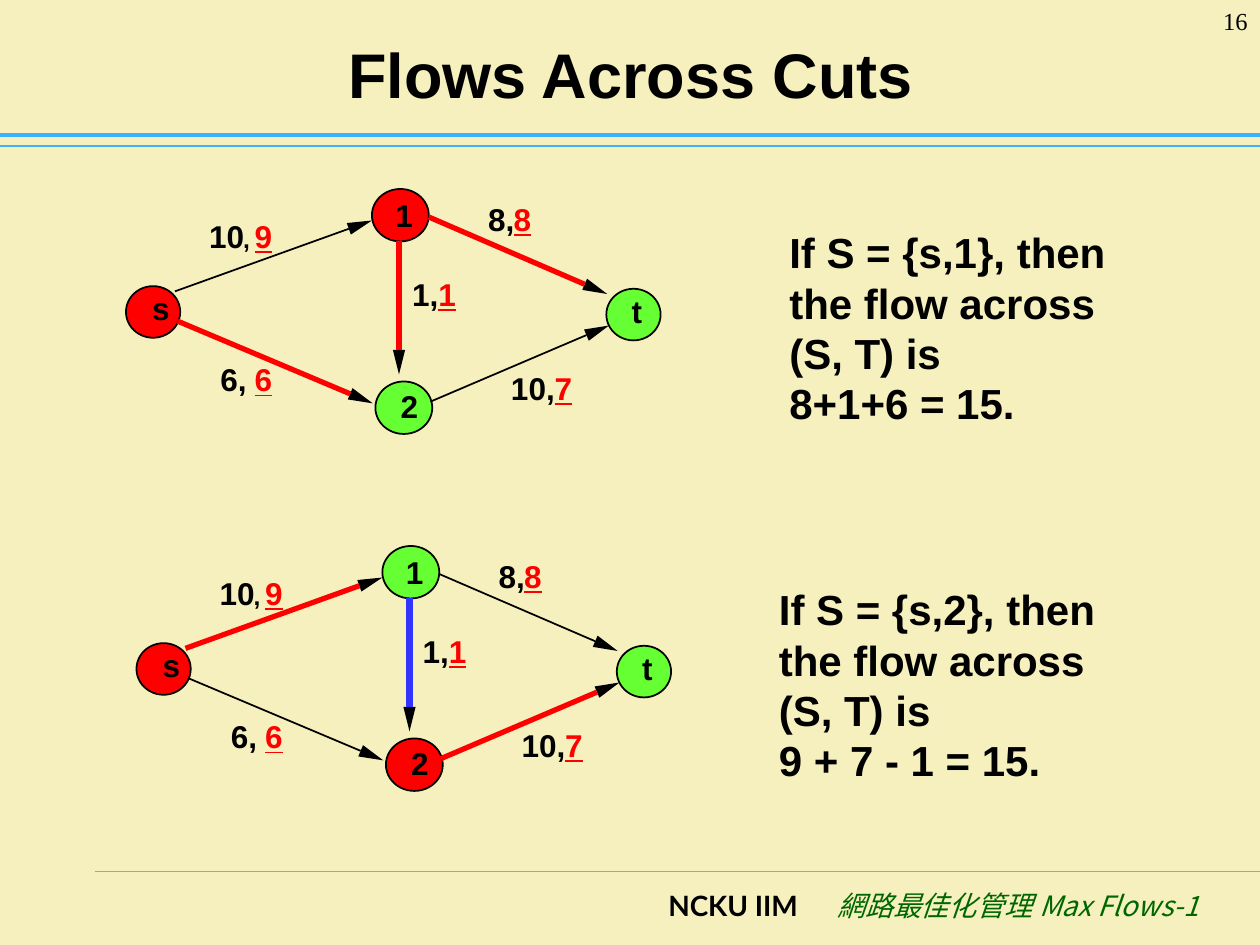
from math import hypot

from lxml.etree import SubElement
from pptx import Presentation
from pptx.dml.color import RGBColor
from pptx.enum.shapes import MSO_CONNECTOR, MSO_SHAPE
from pptx.enum.text import MSO_ANCHOR, PP_ALIGN
from pptx.oxml.ns import qn
from pptx.util import Pt

COLORS = {
    "background": "F5F0BD",
    "ink": "000000",
    "source side": "FF0000",
    "sink side": "66FF33",
    "forward": "FF0000",
    "backward": "3333FF",
    "flow": "FF0000",
    "header rule": "3DB0FF",
    "footer rule": "33CCFF",
    "course": "006600",
}
NODES = {
    "s": (72, 163.5, 31, 29.5, 87, 165),
    "1": (212.5, 108, 32.5, 30, 226, 112),
    "2": (214.5, 218, 32.5, 30, 229, 221),
    "t": (346.5, 165, 31, 29.5, 361, 167),
}
EDGES = {
    "s1": ((100, 166.5), (212.5, 126)),
    "s2": ((101.5, 183.5), (213, 230.5)),
    "1t": ((245, 124), (347, 168)),
    "2t": ((246, 229.5), (348, 186)),
    "12": ((228, 137.5), (228, 214)),
}
CAPACITIES = [
    ("8,", "8", 279, 293.5, 114.5),
    ("1,", "1", 235.5, 250.5, 157),
    ("10,", "7", 292, 317, 211),
    ("6, ", "6", 126, 145.5, 206),
    ("10", "9", 119.5, 145.5, 124),
]
HEAD_LENGTH = 14
HEAD_HALF_WIDTH = 3.5


def rgb(role):
    return RGBColor.from_string(COLORS[role])


def format_runs(paragraph, size, color="ink", font="Arial", bold=True, italic=False, underline=False):
    for run in paragraph.runs:
        run.font.name = font
        run.font.size = Pt(size)
        run.font.bold = bold
        run.font.italic = italic
        run.font.underline = underline
        run.font.color.rgb = rgb(color)
        SubElement(run.font._element, qn("a:ea")).set("typeface", font)


def add_text(slide, text, left, top, width, height, size, align=PP_ALIGN.LEFT, **style):
    box = slide.shapes.add_textbox(Pt(left), Pt(top), Pt(width), Pt(height))
    box.text_frame.word_wrap = True
    box.text_frame.text = text
    paragraph = box.text_frame.paragraphs[0]
    paragraph.alignment = align
    format_runs(paragraph, size, **style)
    return box


def add_mark(slide, text, left, top, size=18, **style):
    width = sum(10 if character in "s0126789" else 6 for character in text)
    mark = add_text(slide, text, left, top, width, size * 1.2, size, **style)
    frame = mark.text_frame
    frame.word_wrap = False
    frame.margin_left = frame.margin_right = frame.margin_top = frame.margin_bottom = 0


def add_line(slide, start, end, color, width):
    line = slide.shapes.add_connector(MSO_CONNECTOR.STRAIGHT, *map(Pt, (*start, *end)))
    line.line.color.rgb = rgb(color)
    line.line.width = Pt(width)
    SubElement(line._element.spPr, qn("a:effectLst"))


def add_edge(slide, start, tip, color, width):
    length = hypot(tip[0] - start[0], tip[1] - start[1])
    ux, uy = (tip[0] - start[0]) / length, (tip[1] - start[1]) / length
    base = (tip[0] - HEAD_LENGTH * ux, tip[1] - HEAD_LENGTH * uy)
    dx, dy = -HEAD_HALF_WIDTH * uy, HEAD_HALF_WIDTH * ux
    corners = [(base[0] + dx, base[1] + dy), (base[0] - dx, base[1] - dy)]
    builder = slide.shapes.build_freeform(Pt(tip[0]), Pt(tip[1]))
    builder.add_line_segments([(Pt(x), Pt(y)) for x, y in corners], close=True)
    head = builder.convert_to_shape()
    head.shadow.inherit = False
    head.fill.solid()
    head.fill.fore_color.rgb = rgb("ink")
    head.line.fill.background()
    add_line(slide, start, base, color, width)


def add_node(slide, name, color, dx, dy):
    left, top, width, height, label_left, label_top = NODES[name]
    node = slide.shapes.add_shape(
        MSO_SHAPE.OVAL, Pt(left + dx), Pt(top + dy), Pt(width), Pt(height))
    node.shadow.inherit = False
    node.fill.solid()
    node.fill.fore_color.rgb = rgb(color)
    node.line.color.rgb = rgb("ink")
    node.line.width = Pt(1)
    add_mark(slide, name, label_left + dx, label_top + dy)


def add_network(slide, source_side, crossing, dx=0, dy=0):
    for name in NODES:
        add_node(slide, name, "source side" if name in source_side else "sink side", dx, dy)
    for edge, (start, tip) in EDGES.items():
        color, width = crossing.get(edge, ("ink", 1))
        add_edge(slide, (start[0] + dx, start[1] + dy), (tip[0] + dx, tip[1] + dy), color, width)
    for capacity, flow, left, flow_left, top in CAPACITIES:
        add_mark(slide, capacity, left + dx, top + dy)
        add_mark(slide, flow, flow_left + dx, top + dy, color="flow", underline=True)
    add_mark(slide, ",", 139 + dx, 128 + dy, size=14)


def add_title(slide, text):
    title = slide.shapes.title
    title.left, title.top, title.width, title.height = Pt(36.5), Pt(9.5), Pt(648), Pt(65)
    title.text_frame.text = text
    title.text_frame.vertical_anchor = MSO_ANCHOR.MIDDLE
    title.text_frame.paragraphs[0].alignment = PP_ALIGN.CENTER
    format_runs(title.text_frame.paragraphs[0], 36)


def main():
    deck = Presentation()
    deck.slide_width, deck.slide_height = Pt(720), Pt(540)
    slide = deck.slides.add_slide(deck.slide_layouts[5])
    slide.background.fill.solid()
    slide.background.fill.fore_color.rgb = rgb("background")

    add_line(slide, (54, 498), (720, 498), "footer rule", 0.75)
    add_line(slide, (0, 83.5), (720, 83.5), "header rule", 0.75)
    add_line(slide, (0, 77), (720, 77), "header rule", 2.5)
    add_text(slide, "NCKU IIM", 342, 504, 121, 36, 16, PP_ALIGN.RIGHT, font="Lato")
    add_text(slide, "網路最佳化管理 Max Flows-1", 452, 504, 240, 36, 16, PP_ALIGN.RIGHT,
             color="course", font="Noto Sans CJK SC", bold=False, italic=True)
    add_title(slide, "Flows Across Cuts")

    forward, backward = ("forward", 3), ("backward", 4.5)
    add_network(slide, "s1", {"s2": forward, "1t": forward, "12": forward})
    add_network(slide, "s2", {"s1": forward, "2t": forward, "12": backward}, 6, 204)
    add_text(slide, "If S = {s,1}, then the flow across (S, T) is \v8+1+6 = 15.",
             444, 126, 216, 122.5, 24)
    add_text(slide, "If S = {s,2}, then the flow across (S, T) is \v9 + 7 - 1 = 15.",
             438, 330, 210, 122.5, 24)
    add_text(slide, "16", 660, 0, 60, 36, 14, PP_ALIGN.RIGHT, font="Times New Roman", bold=False)
    deck.save("out.pptx")


if __name__ == "__main__":
    main()
